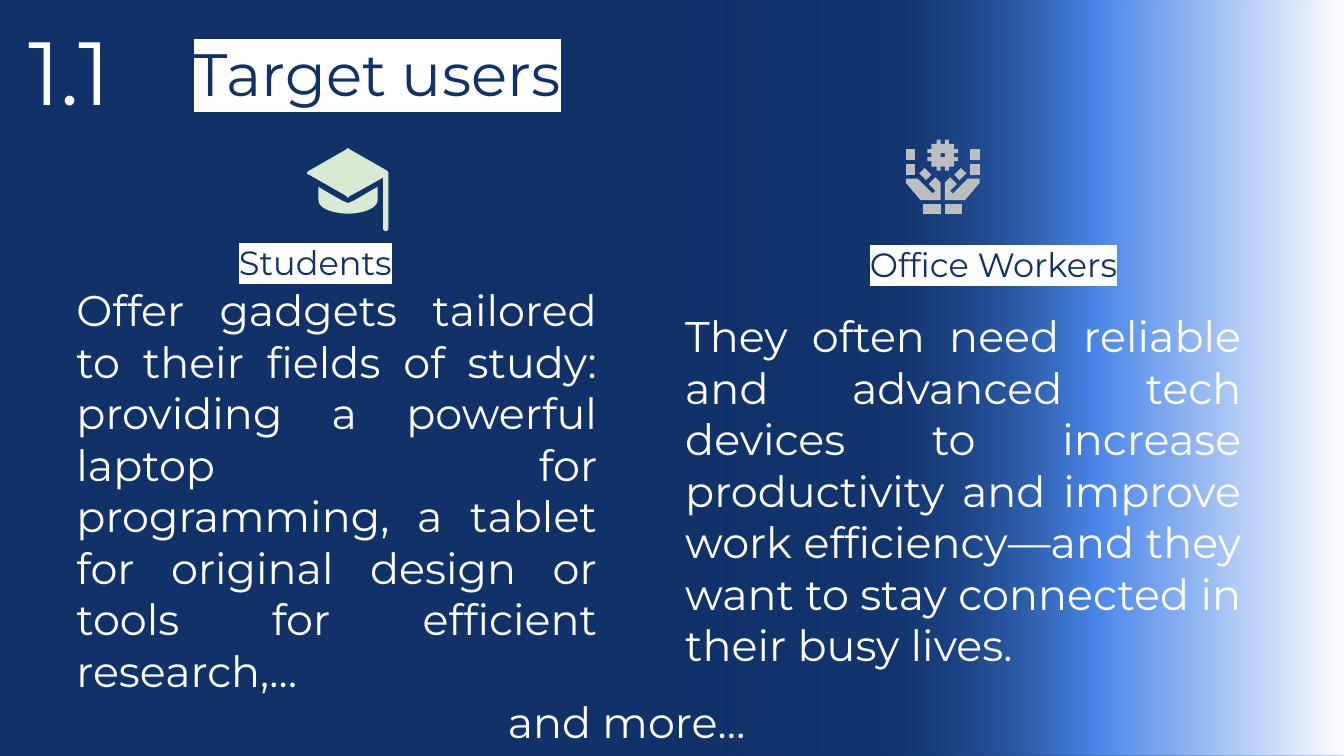
from dataclasses import dataclass

from lxml.etree import SubElement
from pptx import Presentation
from pptx.dml.color import RGBColor
from pptx.enum.shapes import MSO_SHAPE
from pptx.enum.text import MSO_ANCHOR, PP_ALIGN
from pptx.oxml.ns import qn
from pptx.util import Pt

PX = 4572  # EMU per px, 200 px to the inch
WIDTH, HEIGHT = 2000, 1125
ICON_CELL = 2 * PX  # icons are drawn on a grid of 2 px
HANDS_AXIS = 1403  # a grid x on the left mirrors to 1403 - x


@dataclass(frozen=True)
class Theme:
    navy: str = "103269"
    white: str = "FFFFFF"
    cap: str = "D9EAD3"
    hands: str = "BCBEC0"
    # position %, colour, opacity %
    glow: tuple = ((0, "1C4587", 0), (32, "1C4587", 15),
                   (63, "4A86E8", 100), (100, "FFFFFF", 100))
    font: str = "Montserrat"
    number: int = 48
    title: int = 32
    body: int = 23
    label: int = 18


def mirrored(points):
    return [(HANDS_AXIS - x, y) for x, y in points]


def box(left, top, right, bottom):
    return [(left, top), (left, bottom), (right, bottom), (right, top)]


def flatten(path, steps=8):
    """Turn a path of points and cubic curves (six numbers) into points."""
    points = []
    for part in path:
        if len(part) == 2:
            points.append(part)
            continue
        x0, y0 = points[-1]
        x1, y1, x2, y2, x3, y3 = part
        for step in range(1, steps + 1):
            t = step / steps
            a, b, c, d = (1 - t) ** 3, 3 * t * (1 - t) ** 2, 3 * t * t * (1 - t), t ** 3
            points.append((a * x0 + b * x1 + c * x2 + d * x3,
                           a * y0 + b * y1 + c * y2 + d * y3))
    return points


class SlideBuilder:
    def __init__(self, slide, theme):
        self.slide, self.theme = slide, theme

    def background(self, color):
        fill = self.slide.background.fill
        fill.solid()
        fill.fore_color.rgb = RGBColor.from_string(color)

    def gradient_panel(self, left, top, width, height, stops):
        panel = self.slide.shapes.add_shape(
            MSO_SHAPE.RECTANGLE, *(n * PX for n in (left, top, width, height)))
        panel.shadow.inherit = False
        panel.line.fill.background()
        panel.fill.gradient()
        panel.fill.gradient_angle = 0
        stop_list = panel.element.spPr.find(".//" + qn("a:gsLst"))
        for stop in list(stop_list):
            stop_list.remove(stop)
        for position, color, opacity in stops:
            stop = SubElement(stop_list, qn("a:gs"), pos=str(position * 1000))
            rgb = SubElement(stop, qn("a:srgbClr"), val=color)
            if opacity < 100:
                SubElement(rgb, qn("a:alpha"), val=str(opacity * 1000))

    def text(self, words, area, size, align=PP_ALIGN.LEFT,
             anchor=MSO_ANCHOR.MIDDLE, highlighted=False):
        frame = self.slide.shapes.add_textbox(*(n * PX for n in area)).text_frame
        inset = 20 * PX
        frame_format = {"word_wrap": True, "vertical_anchor": anchor,
                        "margin_left": inset, "margin_right": inset,
                        "margin_top": inset, "margin_bottom": inset}
        for name, value in frame_format.items():
            setattr(frame, name, value)
        paragraph = frame.paragraphs[0]
        paragraph.alignment = align
        run = paragraph.add_run()
        run.text = words
        for name, value in {"name": self.theme.font, "size": Pt(size)}.items():
            setattr(run.font, name, value)
        color = self.theme.navy if highlighted else self.theme.white
        run.font.color.rgb = RGBColor.from_string(color)
        if highlighted:
            properties = run.font._element
            marker = SubElement(properties, qn("a:highlight"))
            SubElement(marker, qn("a:srgbClr"), val=self.theme.white)
            properties.find(qn("a:solidFill")).addnext(marker)

    def icon(self, pieces, color):
        """Draw a group of outlines; each piece is a list of contours."""
        group = self.slide.shapes.add_group_shape()
        for contours in pieces:
            first, *others = [[(x * ICON_CELL, y * ICON_CELL) for x, y in flatten(contour)]
                              for contour in contours]
            builder = group.shapes.build_freeform(*first[0])
            builder.add_line_segments(first[1:], close=True)
            for contour in others:
                builder.move_to(*contour[0])
                builder.add_line_segments(contour[1:], close=True)
            outline = builder.convert_to_shape()
            outline.shadow.inherit = False
            outline.fill.solid()
            outline.fill.fore_color.rgb = RGBColor.from_string(color)
            outline.line.fill.background()


# Hands holding a gear: left half, mirrored to the right
GEAR_HALF = [(700, 107), (700, 104), (697, 104), (697, 107), (693, 107), (693, 111),
             (690, 111), (690, 114), (693, 114), (693, 117), (690, 117), (690, 120),
             (693, 120), (693, 124), (697, 124), (697, 127), (700, 127), (700, 124)]
GEAR_HOLE = [(703, 114), (703, 117), (700, 117), (700, 114)]
HAND_HALF = [
    box(674, 111, 681, 119),
    box(674, 122, 681, 130),
    [(688, 125), (684, 129), (689, 134), (693, 130)],
    [(696, 132), (691, 137), (696, 142), (694, 144), (683, 133), (674, 133),
     (674, 136), (685, 149), (700, 149), (700, 136)],
    box(687, 152, 700, 159),
]

# Graduation cap
CAP_BASE = [(237, 139), (237, 149), (237, 156, 250, 159, 259, 159),
            (270, 159, 281, 155, 281, 149), (281, 139), (262, 150),
            (261, 150, 260, 151, 259, 151), (258, 151, 257, 150, 256, 150),
            (254, 149, 238, 140, 237, 139)]
CAP_TOP = [(259, 110), (258, 110, 258, 111, 258, 111), (230, 127),
           (228, 128, 228, 130, 230, 130), (258, 146),
           (258, 147, 258, 147, 259, 147), (259, 147, 259, 147, 260, 146),
           (284, 133, 285, 132, 285, 132), (285, 170),
           (285, 171, 286, 172, 287, 172), (288, 172, 289, 171, 289, 170),
           (289, 129), (289, 128, 288, 127, 288, 127), (260, 111),
           (259, 111, 259, 110, 259, 110)]


def main():
    deck = Presentation()
    deck.slide_width, deck.slide_height = WIDTH * PX, HEIGHT * PX
    theme = Theme()
    page = SlideBuilder(deck.slides.add_slide(deck.slide_layouts[6]), theme)

    # Backdrop
    page.background(theme.navy)
    page.gradient_panel(WIDTH // 2, 0, WIDTH // 2, HEIGHT, theme.glow)

    # Heading
    page.text("Target users", (269, 35, 1731, 190), theme.title,
              anchor=MSO_ANCHOR.TOP, highlighted=True)
    page.text("1.1", (23, -9, 326, 226), theme.number)

    # User groups
    page.text("They often need reliable and advanced tech devices to increase "
              "productivity and improve work efficiency—and they want to stay "
              "connected in their busy lives.",
              (1000, 597, 868, 264), theme.body, PP_ALIGN.JUSTIFY)
    page.text("Offer gadgets tailored to their fields of study: providing a "
              "powerful laptop for programming, a tablet for original design or "
              "tools for efficient research,…",
              (94, 597, 815, 264), theme.body, PP_ALIGN.JUSTIFY)
    page.text("Office Workers", (1122, 348, 560, 90), theme.label,
              PP_ALIGN.RIGHT, highlighted=True)
    page.text("Students", (336, 345, 560, 90), theme.label, highlighted=True)

    # Icons
    gear = GEAR_HALF + mirrored(GEAR_HALF)[::-1]
    hands = [[half] for part in HAND_HALF for half in (part, mirrored(part))]
    page.icon([[gear, GEAR_HOLE]] + hands, theme.hands)
    page.icon([[CAP_BASE], [CAP_TOP]], theme.cap)

    # Closing words
    page.text("and more…", (736, 1028, 560, 90), theme.body, PP_ALIGN.JUSTIFY)

    deck.save("out.pptx")


if __name__ == "__main__":
    main()
